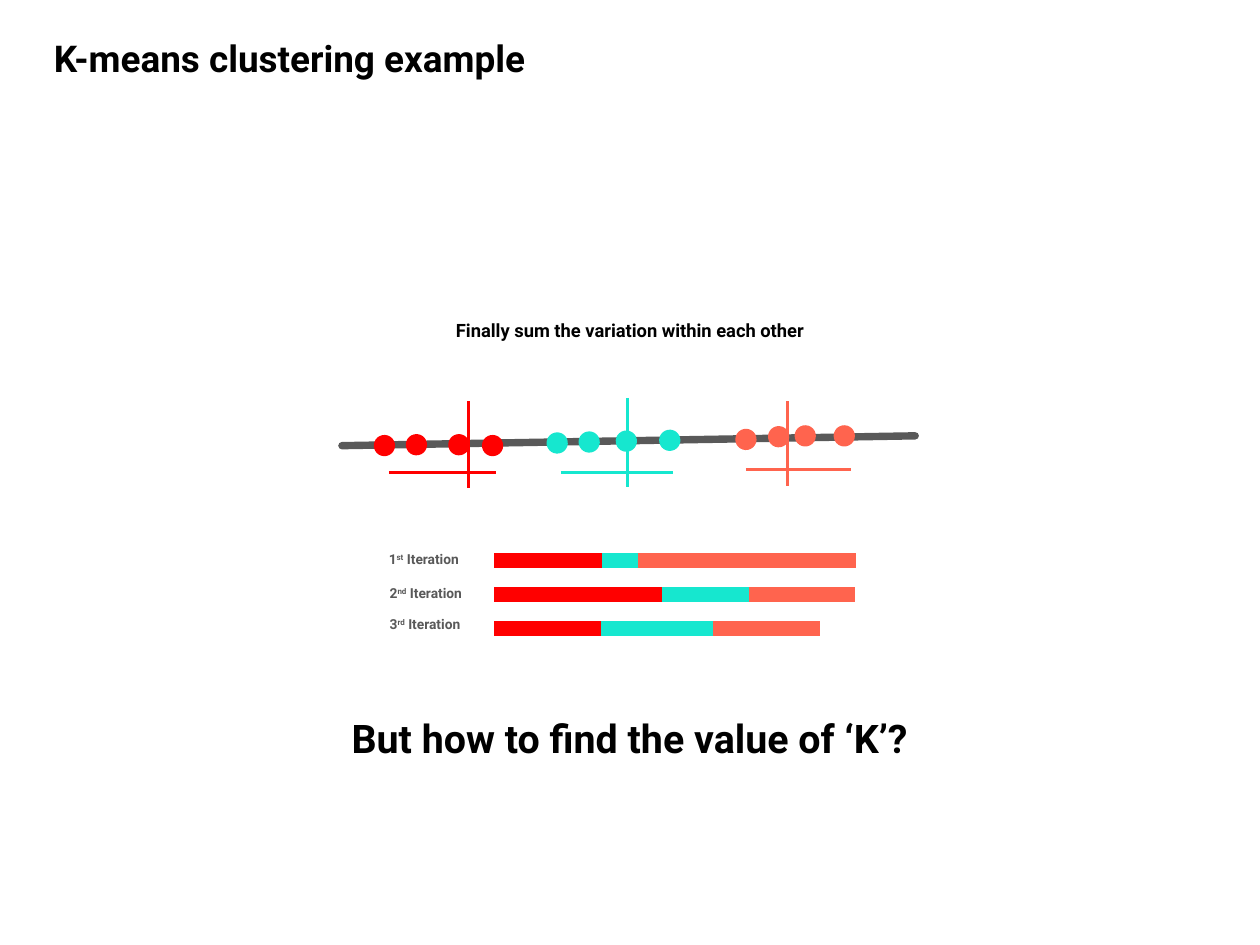
from dataclasses import dataclass
from itertools import pairwise

from lxml.etree import SubElement
from pptx import Presentation
from pptx.dml.color import RGBColor
from pptx.enum.shapes import MSO_CONNECTOR, MSO_SHAPE
from pptx.enum.text import PP_ALIGN
from pptx.oxml.ns import qn
from pptx.shapes.connector import Connector
from pptx.util import Pt

BLACK = RGBColor(0x00, 0x00, 0x00)
GREY = RGBColor(0x59, 0x59, 0x59)
RED = RGBColor(0xFF, 0x00, 0x00)
TEAL = RGBColor(0x16, 0xE7, 0xCF)
CORAL = RGBColor(0xFF, 0x64, 0x4E)
FONT = "Roboto"
DOT = 17.28
BAR_LEFT, BAR_TOP, BAR_PITCH = 401.8, 455.8, 27.36


@dataclass(frozen=True)
class Cluster:
    color: RGBColor
    dots: tuple[tuple[float, float], ...]
    mean: tuple[float, float, float]
    spread: tuple[float, float, float]


@dataclass(frozen=True)
class Iteration:
    number: str
    suffix: str
    label_at: tuple[float, float]
    ends: tuple[float, float, float]


CLUSTERS = (
    Cluster(RED, ((303.8, 353.5), (329.8, 352.8), (364.3, 352.8), (391.7, 353.5)),
            (380.9, 326.2, 396.7), (316.1, 403.2, 383.8)),
    Cluster(TEAL, ((444.2, 351.4), (470.2, 350.6), (500.4, 349.9), (535.7, 349.2)),
            (509.8, 323.3, 396), (455.8, 547.2, 383.8)),
    Cluster(CORAL, ((597.6, 348.5), (624.2, 346.3), (645.8, 345.6), (677.5, 345.6)),
            (640.1, 326.2, 395.3), (606.2, 691.9, 381.6)),
)
ITERATIONS = (
    Iteration("1", "st", (308.9, 445.7), (489.6, 518.4, 695.5)),
    Iteration("2", "nd", (309.6, 473), (537.8, 609.1, 694.8)),
    Iteration("3", "rd", (309.6, 498.2), (488.2, 579.6, 666)),
)


def add_text(shapes, text: str, x: float, y: float, w: float, h: float, *,
             size: float, color: RGBColor = BLACK, align: PP_ALIGN = PP_ALIGN.LEFT,
             spacing: float = 0.9, wrap: bool = True, superscript: str = "",
             tail: str = "") -> None:
    tf = shapes.add_textbox(Pt(x), Pt(y), Pt(w), Pt(h)).text_frame
    tf.word_wrap = wrap
    p = tf.paragraphs[0]
    p.alignment = align
    p.line_spacing = spacing
    for part in filter(None, (text, superscript, tail)):
        r = p.add_run()
        r.text = part
        r.font.name = FONT
        r.font.size = Pt(size)
        r.font.bold = True
        r.font.color.rgb = color
        if part == superscript:
            r.font._element.set("baseline", "30000")


def add_line(shapes, x1: float, y1: float, x2: float, y2: float,
             color: RGBColor, width: float) -> Connector:
    line = shapes.add_connector(MSO_CONNECTOR.STRAIGHT, Pt(x1), Pt(y1), Pt(x2), Pt(y2))
    line.line.color.rgb = color
    line.line.width = Pt(width)
    SubElement(line._element.spPr, qn("a:effectLst"))
    return line


def add_dot(shapes, x: float, y: float, color: RGBColor) -> None:
    sp = shapes.add_shape(MSO_SHAPE.OVAL, Pt(x), Pt(y), Pt(DOT), Pt(DOT))
    sp.rotation = 18
    sp.shadow.inherit = False
    sp.fill.solid()
    sp.fill.fore_color.rgb = color
    sp.line.fill.background()


def add_clusters(shapes) -> None:
    axis = add_line(shapes, 277.9, 362.2, 743.8, 354.2, GREY, 6)
    axis.line._get_or_add_ln().set("cap", "rnd")
    for cluster in CLUSTERS:
        for x, y in cluster.dots:
            add_dot(shapes, x, y, cluster.color)
    for cluster in CLUSTERS:
        x, top, bottom = cluster.mean
        add_line(shapes, x, top, x, bottom, cluster.color, 2.25)
        left, right, y = cluster.spread
        add_line(shapes, left, y, right, y, cluster.color, 2.25)


def add_iterations(shapes) -> None:
    for i, iteration in enumerate(ITERATIONS):
        y = BAR_TOP + i * BAR_PITCH
        bar = shapes.add_group_shape().shapes
        for cluster, (left, right) in zip(CLUSTERS, pairwise((BAR_LEFT, *iteration.ends))):
            add_line(bar, left, y, right, y, cluster.color, 12)
        add_text(shapes, iteration.number, *iteration.label_at, 91.4, 19.4, size=11.2,
                 color=GREY, superscript=iteration.suffix, tail=" Iteration")


def main() -> None:
    prs = Presentation()
    prs.slide_width, prs.slide_height = Pt(1024), Pt(768)
    s = prs.slides.add_slide(prs.slide_layouts[6])
    add_text(s.shapes, "Finally sum the variation within each other", 252.7, 247, 518.4, 31,
             size=14.9, align=PP_ALIGN.CENTER, spacing=1.5)
    add_clusters(s.shapes)
    add_iterations(s.shapes)
    add_text(s.shapes, "But how to find the value of ‘K’?", 258.5, 558, 506.9, 58.3,
             size=32, align=PP_ALIGN.CENTER, spacing=1.5, wrap=False)
    add_text(s.shapes, "K-means clustering example", 36.7, 29.5, 528.5, 40.3, size=30)
    prs.save("out.pptx")


if __name__ == "__main__":
    main()
